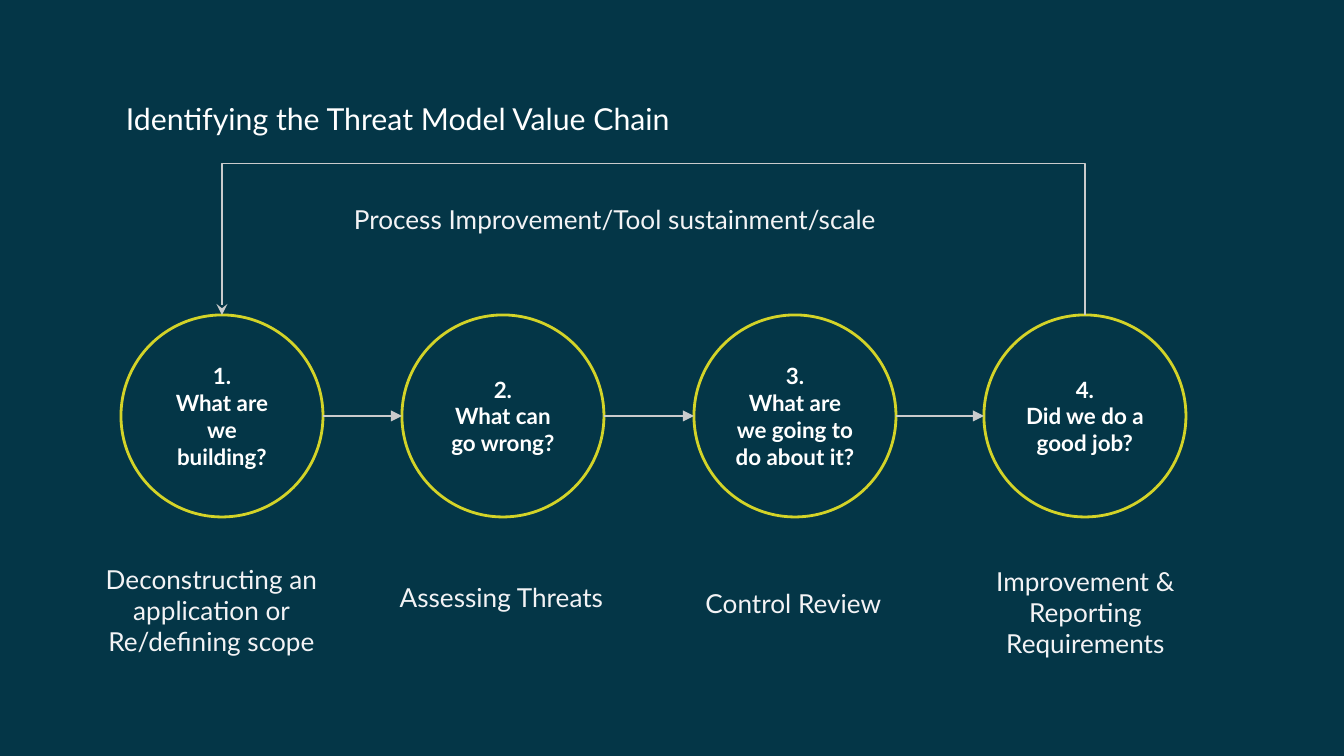
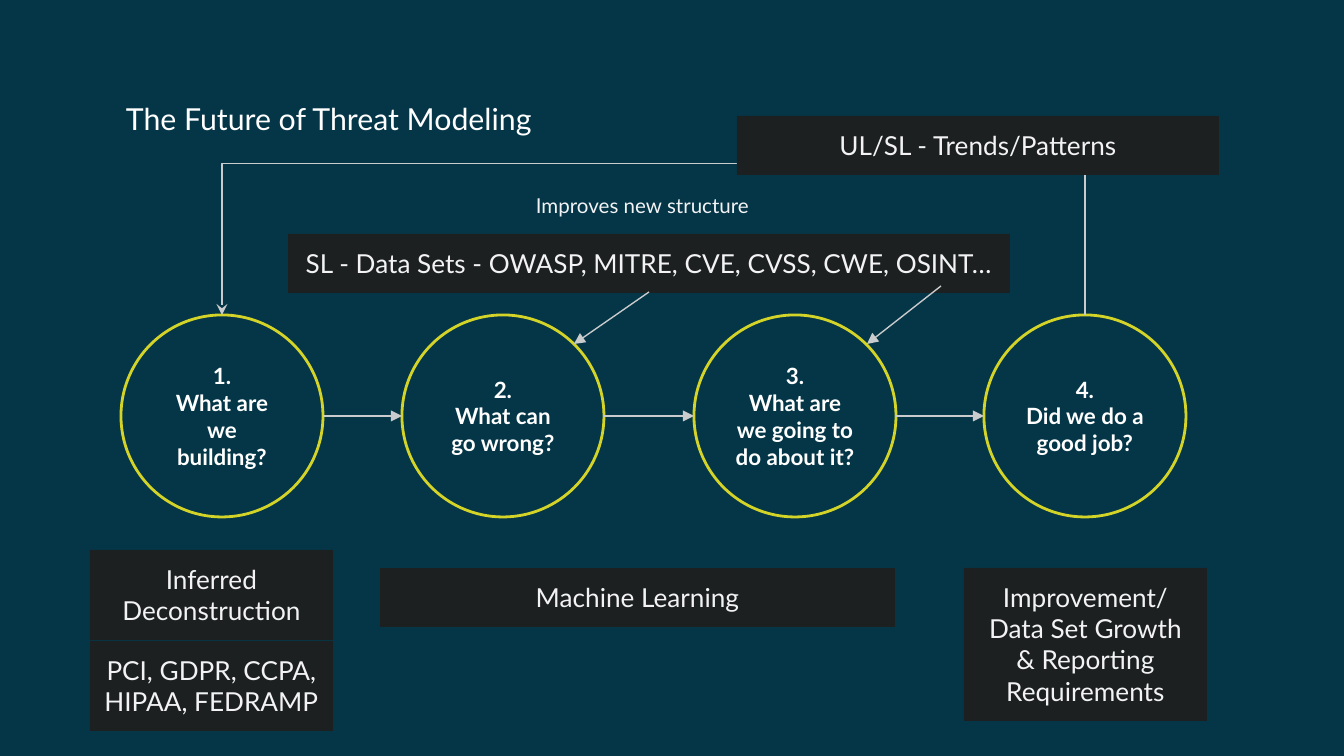
from dataclasses import dataclass
from itertools import pairwise

from pptx import Presentation
from pptx import util as u
from pptx.dml.color import RGBColor
from pptx.enum import shapes, text
from pptx.oxml import ns, xmlchemy


@dataclass(frozen=True)
class Theme:
    """Colours, type sizes and font shared by the slides."""
    background: str = "043647"
    white: str = "FFFFFF"
    pale: str = "F3F3F5"
    ring: str = "D3D328"
    arrow: str = "CACBCC"
    panel: str = "1C2020"
    font: str = "Lato"
    title: float = 16.2
    label: int = 14
    step: int = 12
    note: int = 11


THEME = Theme()
SCALE = 914400 / 134.4
DIAMETER = 202
CIRCLE_TOP = 315
LABEL_WIDTH = 243
LINE_HEIGHT = 59
LOOP_RISE = 126
STEPS = [
    (121, "1.\nWhat are we building?"),
    (402, "2.\nWhat can go wrong?"),
    (694, "3.\nWhat are we going to do about it?"),
    (984, "4.\nDid we do a good job?"),
]


def px(*lengths):
    """Turn lengths in px into a list of EMU values."""
    return [u.Emu(round(length * SCALE)) for length in lengths]


def rgb(colour):
    """Make a colour from its hexadecimal name."""
    return RGBColor.from_string(colour)


def write(box, words, size, colour, margins, align=text.PP_ALIGN.CENTER, bold=False):
    """Fill a shape with wrapped, formatted text."""
    frame = box.text_frame
    frame.text = words
    frame.word_wrap = True
    side, end = px(*margins)
    frame.margin_left = frame.margin_right = side
    frame.margin_top = frame.margin_bottom = end
    for para in frame.paragraphs:
        para.alignment = align
        for span in para.runs:
            span.font.name = THEME.font
            span.font.size = u.Pt(size)
            span.font.bold = bold
            span.font.color.rgb = rgb(colour)
    return frame


def add_title(page, words):
    """Place the slide title in its placeholder."""
    box = page.shapes.title
    box.left, box.top, box.width, box.height = px(117, 99, 943, 34)
    frame = write(box, words, THEME.title, THEME.white, (9, 5), text.PP_ALIGN.LEFT)
    frame.vertical_anchor = text.MSO_ANCHOR.TOP
    frame.auto_size = text.MSO_AUTO_SIZE.NONE
    frame.paragraphs[0].line_spacing = 0.9


def add_label(page, words, left, top, width=LABEL_WIDTH, height=LINE_HEIGHT,
              fill=None, size=THEME.label):
    """Add a centred label, on a panel if a fill is given."""
    box = page.shapes.add_textbox(*px(left, top, width, height))
    if fill:
        box.fill.solid()
        box.fill.fore_color.rgb = rgb(fill)
    frame = write(box, words, size, THEME.pale, (13, 13))
    frame.auto_size = text.MSO_AUTO_SIZE.SHAPE_TO_FIT_TEXT


def add_step(page, left, words):
    """Add one ringed step of the chain."""
    circle = page.shapes.add_shape(shapes.MSO_SHAPE.OVAL,
                                   *px(left, CIRCLE_TOP, DIAMETER, DIAMETER))
    circle.shadow.inherit = False
    circle.fill.background()
    circle.line.color.rgb = rgb(THEME.ring)
    circle.line.width = u.Pt(1.5)
    frame = write(circle, words, THEME.step, THEME.white, (9, 9), bold=True)
    frame.vertical_anchor = text.MSO_ANCHOR.MIDDLE
    return circle


def style_arrow(arrow, head):
    """Colour a connector, give it a head and drop its shadow."""
    arrow.line.color.rgb = rgb(THEME.arrow)
    arrow.line.width = u.Pt(0.75)
    tail = xmlchemy.OxmlElement("a:tailEnd")
    tail.set("type", head)
    properties = arrow._element.spPr
    properties.find(ns.qn("a:ln")).append(tail)
    properties.append(xmlchemy.OxmlElement("a:effectLst"))


def add_arrow(page, *ends):
    """Add a straight arrow between two points."""
    arrow = page.shapes.add_connector(shapes.MSO_CONNECTOR.STRAIGHT, *px(*ends))
    style_arrow(arrow, "triangle")


def add_loop(page, last, first):
    """Add the feedback arrow from the top of the last step to the first."""
    loop = page.shapes.add_connector(shapes.MSO_CONNECTOR.ELBOW, 0, 0, 0, 0)
    loop.begin_connect(last, 0)
    loop.end_connect(first, 0)
    reach = last.left - first.left
    middle = (last.left + first.left + first.width) // 2
    depth = u.Emu(600)
    frame = loop._element.spPr.find(ns.qn("a:xfrm"))
    for flip in ("flipH", "flipV"):
        frame.attrib.pop(flip, None)
    frame.set("rot", "5400000")
    loop.left, loop.top = middle - depth // 2, first.top - reach // 2
    loop.width, loop.height = depth, reach
    guide = xmlchemy.OxmlElement("a:gd")
    guide.set("name", "adj1")
    guide.set("fmla", f"val {round(-LOOP_RISE * SCALE / depth * 100000)}")
    geometry = loop._element.spPr.find(ns.qn("a:prstGeom"))
    guides = geometry.find(ns.qn("a:avLst"))
    if guides is None:
        guides = xmlchemy.OxmlElement("a:avLst")
        geometry.append(guides)
    guides.append(guide)
    style_arrow(loop, "stealth")


def add_chain(deck, title):
    """Add a slide with its title, the four steps and their arrows."""
    page = deck.slides.add_slide(deck.slide_layouts.get_by_name("Title Only"))
    add_title(page, title)
    circles = [add_step(page, left, words) for left, words in STEPS]
    add_loop(page, circles[-1], circles[0])
    middle = CIRCLE_TOP + DIAMETER // 2
    for (left, _), (following, _) in pairwise(STEPS):
        add_arrow(page, left + DIAMETER, middle, following, middle)
    return page


def add_value_chain(deck):
    """Build the slide on the present value chain."""
    page = add_chain(deck, "Identifying the Threat Model Value Chain")
    add_label(page, "Deconstructing an application or Re/defining scope", 90, 550, height=122)
    add_label(page, "Assessing Threats", 380, 568)
    add_label(page, "Control Review", 672, 574)
    add_label(page, "Improvement & Reporting Requirements", 964, 552, height=122)
    add_label(page, "Process Improvement/Tool sustainment/scale", 275, 190, 680)


def add_future(deck):
    """Build the slide on the future of the chain."""
    page = add_chain(deck, "The Future of Threat Modeling")
    add_label(page, "Improves new structure", 521, 181, height=52, size=THEME.note)
    panels = [
        ("Inferred Deconstruction", 90, 550, LABEL_WIDTH, 90),
        ("PCI, GDPR, CCPA, HIPAA, FEDRAMP", 90, 641, LABEL_WIDTH, 90),
        ("Machine Learning", 380, 568, 515, LINE_HEIGHT),
        ("Improvement/Data Set Growth & Reporting Requirements", 964, 568, LABEL_WIDTH, 153),
        ("SL - Data Sets - OWASP, MITRE, CVE, CVSS, CWE, OSINT…", 288, 234, 722, LINE_HEIGHT),
        ("UL/SL - Trends/Patterns", 737, 116, 482, LINE_HEIGHT),
    ]
    for panel in panels:
        add_label(page, *panel, fill=THEME.panel)
    add_arrow(page, 649, 292, 574, 344)
    add_arrow(page, 941, 286, 867, 344)


def main():
    """Build the deck and save it."""
    deck = Presentation()
    deck.slide_width, deck.slide_height = px(1344, 756)
    fill = deck.slide_master.background.fill
    fill.solid()
    fill.fore_color.rgb = rgb(THEME.background)
    add_value_chain(deck)
    add_future(deck)
    deck.save("out.pptx")


if __name__ == "__main__":
    main()
